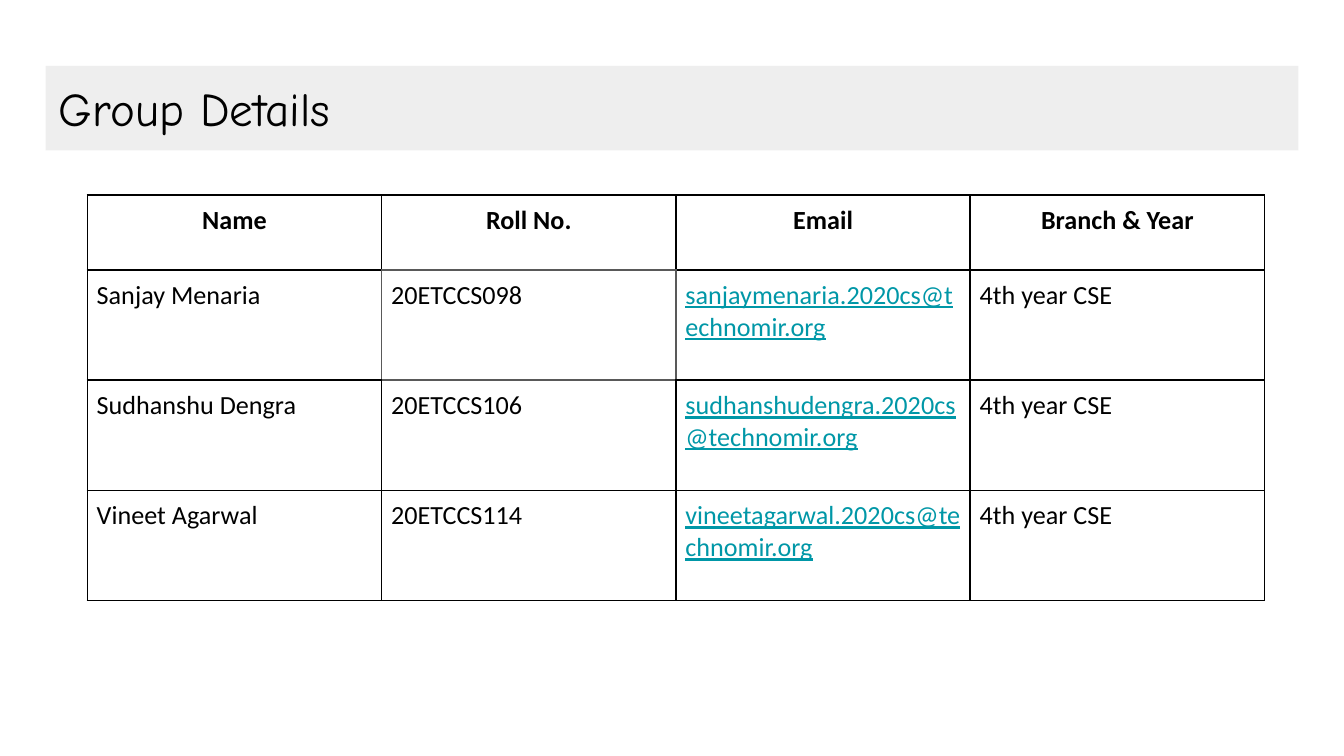
from dataclasses import dataclass

from lxml.etree import SubElement
from pptx import Presentation
from pptx.dml.color import RGBColor
from pptx.enum.shapes import MSO_SHAPE
from pptx.enum.text import MSO_ANCHOR, PP_ALIGN
from pptx.oxml.ns import qn
from pptx.util import Inches, Pt


@dataclass(frozen=True)
class Theme:
    ink: str = "000000"
    band: str = "EEEEEE"
    link: str = "0097A7"
    soft_border: str = "595959"
    title_font: str = "Comic Neue"
    body_font: str = "Calibri"
    title_size: float = 25.2
    body_size: float = 14
    border_width: float = 1


@dataclass(frozen=True)
class Member:
    name: str
    roll: str
    email: str
    branch: str = "4th year CSE"


THEME = Theme()
SLIDE_WIDTH = 10
SLIDE_HEIGHT = SLIDE_WIDTH * 9 / 16
HEADINGS = ("Name", "Roll No.", "Email", "Branch & Year")
MEMBERS = (
    Member("Sanjay Menaria", "20ETCCS098", "sanjaymenaria.2020cs@technomir.org"),
    Member("Sudhanshu Dengra", "20ETCCS106", "sudhanshudengra.2020cs@technomir.org"),
    Member("Vineet Agarwal", "20ETCCS114", "vineetagarwal.2020cs@technomir.org"),
)
EMAIL_COLUMN = 2
SOFT_CELL = (1, 1)
COLUMN_WIDTH = 2.19
HEADING_HEIGHT = 0.56
MEMBER_HEIGHT = 0.82
CELL_MARGIN = 0.07
SIDES = {"lnL": (0, -1), "lnR": (0, 1), "lnT": (-1, 0), "lnB": (1, 0)}


def add_span(para, text: str, font: str, size: float, color: str,
             bold: bool = False, underline: bool = False) -> None:
    span = para.add_run()
    span.text = text
    span.font.name = font
    span.font.size = Pt(size)
    span.font.color.rgb = RGBColor.from_string(color)
    span.font.bold = bold
    span.font.underline = underline


def add_title(page, text: str) -> None:
    box = page.shapes.add_shape(
        MSO_SHAPE.RECTANGLE, Inches(0.34), Inches(0.49), Inches(9.32), Inches(0.63))
    box.shadow.inherit = False
    box.fill.solid()
    box.fill.fore_color.rgb = RGBColor.from_string(THEME.band)
    box.line.fill.background()
    frame = box.text_frame
    frame.word_wrap = True
    frame.vertical_anchor = MSO_ANCHOR.MIDDLE
    frame.margin_left = frame.margin_right = Inches(0.1)
    frame.margin_top = frame.margin_bottom = Inches(0.1)
    para = frame.paragraphs[0]
    para.alignment = PP_ALIGN.LEFT
    add_span(para, text, THEME.title_font, THEME.title_size, THEME.ink)


def draw_borders(cell, row: int, column: int) -> None:
    properties = cell._tc.get_or_add_tcPr()
    for index, (side, (down, right)) in enumerate(SIDES.items()):
        touching = ((row, column), (row + down, column + right))
        color = THEME.soft_border if SOFT_CELL in touching else THEME.ink
        line = SubElement(properties, qn(f"a:{side}"), w=str(Pt(THEME.border_width)))
        fill = SubElement(line, qn("a:solidFill"))
        SubElement(fill, qn("a:srgbClr"), val=color)
        properties.insert(index, line)


def fill_cell(cell, text: str, row: int, column: int) -> None:
    heading = row == 0
    link = column == EMAIL_COLUMN and not heading
    cell.fill.background()
    cell.margin_left = cell.margin_right = Inches(CELL_MARGIN)
    cell.margin_top = cell.margin_bottom = Inches(CELL_MARGIN)
    para = cell.text_frame.paragraphs[0]
    para.alignment = PP_ALIGN.CENTER if heading else PP_ALIGN.LEFT
    add_span(para, text, THEME.body_font, THEME.body_size,
             THEME.link if link else THEME.ink, bold=heading, underline=link)
    draw_borders(cell, row, column)


def add_member_table(page, members: tuple[Member, ...]) -> None:
    rows = [HEADINGS] + [(m.name, m.roll, m.email, m.branch) for m in members]
    heights = [HEADING_HEIGHT] + [MEMBER_HEIGHT] * len(members)
    table = page.shapes.add_table(
        len(rows), len(HEADINGS), Inches(0.65), Inches(1.45),
        Inches(COLUMN_WIDTH * len(HEADINGS)), Inches(sum(heights))).table
    table.first_row = False
    table.horz_banding = False
    for column in table.columns:
        column.width = Inches(COLUMN_WIDTH)
    for row, (texts, height) in enumerate(zip(rows, heights)):
        table.rows[row].height = Inches(height)
        for column, text in enumerate(texts):
            fill_cell(table.cell(row, column), text, row, column)


def main() -> None:
    deck = Presentation()
    deck.slide_width = Inches(SLIDE_WIDTH)
    deck.slide_height = Inches(SLIDE_HEIGHT)
    page = deck.slides.add_slide(deck.slide_layouts[6])
    add_title(page, "Group Details")
    add_member_table(page, MEMBERS)
    deck.save("out.pptx")


if __name__ == "__main__":
    main()
